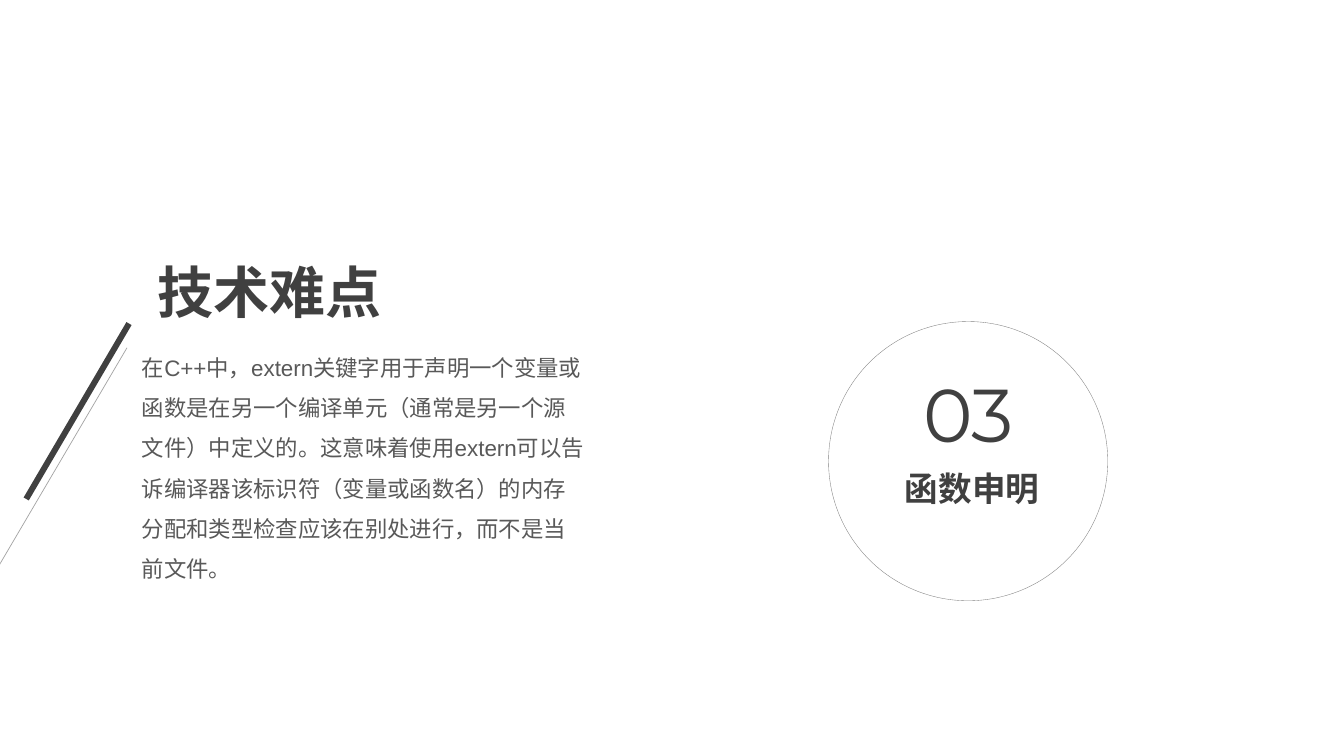
from dataclasses import dataclass

from lxml import etree
from pptx import Presentation
from pptx.dml.color import RGBColor
from pptx.enum.shapes import MSO_CONNECTOR, MSO_SHAPE
from pptx.enum.text import MSO_ANCHOR, MSO_AUTO_SIZE, PP_ALIGN
from pptx.oxml.ns import qn
from pptx.shapes.base import BaseShape
from pptx.slide import Slide
from pptx.util import Pt

STRAIGHT = MSO_CONNECTOR.STRAIGHT
OVAL = MSO_SHAPE.OVAL
TOP = MSO_ANCHOR.TOP
FIXED = MSO_AUTO_SIZE.NONE
LEFT = PP_ALIGN.LEFT

DARK = "404040"
BODY_GREY = "595959"
RING_GREY = "808080"


@dataclass(frozen=True)
class Caption:
    text: str
    left: float
    top: float
    width: float
    height: float
    size: float
    font: str = "Arial"
    color: str = DARK
    bold: bool = False
    wrap: bool = False
    line_spacing: float = 1.0


@dataclass(frozen=True)
class Slash:
    start: tuple[float, float]
    end: tuple[float, float]
    weight: float
    opacity: int = 100


HEADING = Caption("技术难点", 105.12, 180, 176.4, 55.44, 40, bold=True)
CAPTIONS = [
    Caption("03", 652.32, 259.2, 86.4, 72, 53.4, font="Montserrat"),
    Caption("函数申明", 639.36, 330.48, 112.32, 36, 24, bold=True),
    Caption(
        "在C++中，extern关键字用于声明一个变量或函数是在另一个编译单元"
        "（通常是另一个源文件）中定义的。这意味着使用extern可以告诉编译器"
        "该标识符（变量或函数名）的内存分配和类型检查应该在别处进行，"
        "而不是当前文件。",
        94.32, 239.76, 332.64, 178.56, 16,
        color=BODY_GREY, wrap=True, line_spacing=1.5,
    ),
]
SLASHES = [
    Slash((92.16, 231.12), (18.72, 356.4), 4.25),
    Slash((90.72, 248.4), (-41.76, 473.76), 0.5, opacity=48),
]


def rgb(hex_color: str) -> RGBColor:
    return RGBColor.from_string(hex_color)


def fill_caption(holder: BaseShape, caption: Caption) -> None:
    holder.left, holder.top = Pt(caption.left), Pt(caption.top)
    holder.width, holder.height = Pt(caption.width), Pt(caption.height)
    frame = holder.text_frame
    frame.text = caption.text
    frame.word_wrap = caption.wrap
    frame.auto_size = FIXED
    frame.vertical_anchor = TOP
    paragraph = frame.paragraphs[0]
    paragraph.alignment = LEFT
    paragraph.line_spacing = caption.line_spacing
    font = paragraph.runs[0].font
    font.name = caption.font
    font.size = Pt(caption.size)
    font.bold = caption.bold
    font.color.rgb = rgb(caption.color)


def draw_caption(slide: Slide, caption: Caption) -> None:
    fill_caption(slide.shapes.add_textbox(0, 0, 0, 0), caption)


def draw_ring(slide: Slide, left: float, top: float, diameter: float) -> None:
    ring = slide.shapes.add_shape(
        OVAL, Pt(left), Pt(top), Pt(diameter), Pt(diameter)
    )
    ring.shadow.inherit = False
    ring.fill.background()
    ring.line.color.rgb = rgb(RING_GREY)
    ring.line.width = Pt(0.25)


def draw_slash(slide: Slide, slash: Slash) -> None:
    stroke = slide.shapes.add_connector(
        STRAIGHT, *(Pt(value) for value in slash.start + slash.end)
    )
    stroke.line.color.rgb = rgb(DARK)
    stroke.line.width = Pt(slash.weight)
    properties = stroke._element.spPr
    if slash.opacity < 100:
        tint = properties.find(".//" + qn("a:srgbClr"))
        alpha = etree.SubElement(tint, qn("a:alpha"))
        alpha.set("val", str(slash.opacity * 1000))
    etree.SubElement(properties, qn("a:effectLst"))


def main() -> None:
    deck = Presentation()
    deck.slide_width, deck.slide_height = Pt(960), Pt(540)
    slide = deck.slides.add_slide(deck.slide_layouts[5])
    draw_ring(slide, 591.84, 229.68, 199.44)
    for caption in CAPTIONS:
        draw_caption(slide, caption)
    fill_caption(slide.shapes.title, HEADING)
    for slash in SLASHES:
        draw_slash(slide, slash)
    deck.save("out.pptx")


if __name__ == "__main__":
    main()
